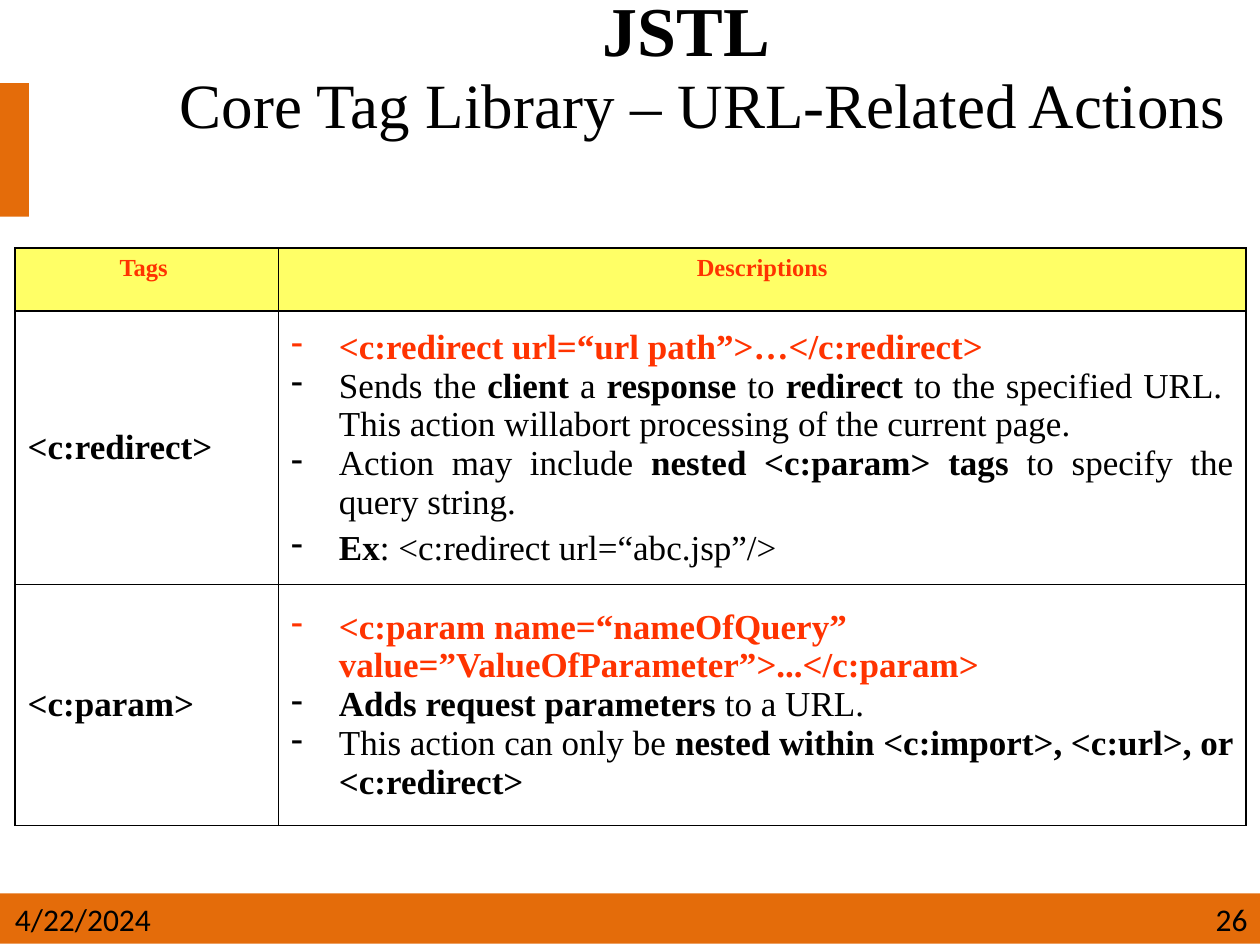
from lxml import etree
from pptx import Presentation
from pptx.dml.color import RGBColor
from pptx.enum.shapes import MSO_SHAPE
from pptx.enum.text import MSO_ANCHOR, MSO_AUTO_SIZE, PP_ALIGN
from pptx.oxml.ns import qn
from pptx.util import Inches, Pt

RECT = MSO_SHAPE.RECTANGLE
TOP, MIDDLE = MSO_ANCHOR.TOP, MSO_ANCHOR.MIDDLE
LEFT, CENTER, RIGHT, FULL = (
    PP_ALIGN.LEFT, PP_ALIGN.CENTER, PP_ALIGN.RIGHT, PP_ALIGN.JUSTIFY)
COLS, ROWS = 100, 75


class Theme:
    """Colours, fonts and type sizes."""
    ink = RGBColor(0, 0, 0)
    red = RGBColor(0xFF, 0x33, 0x00)
    yellow = RGBColor(0xFF, 0xFF, 0x66)
    orange = RGBColor(0xE4, 0x6C, 0x0A)
    serif, sans = "Times New Roman", "Calibri"
    head, gap, sub, body, foot, label = map(Pt, (40, 44, 36, 20, 18, 14))
    indent = Inches(0.38)
    border = Pt(1)


class Page:
    def __init__(self, theme):
        self.theme = theme
        self.deck = Presentation()
        self.deck.slide_width, self.deck.slide_height = Inches(10), Inches(7.5)
        self.slide = self.deck.slides.add_slide(self.deck.slide_layouts[5])
        self.shapes = self.slide.shapes

    def across(self, n):
        return round(self.deck.slide_width * n / COLS)

    def down(self, n):
        return round(self.deck.slide_height * n / ROWS)

    def place(self, left, top, width, height):
        return (self.across(left), self.down(top),
                self.across(width), self.down(height))

    def run(self, para, text, color=None, **style):
        run = para.add_run()
        run.text = text
        style = {"name": self.theme.serif, "bold": False, **style}
        for key, value in style.items():
            setattr(run.font, key, value)
        run.font.color.rgb = color or self.theme.ink

    def rich(self, para, text, **style):
        """Write text in which ** switches bold on and off."""
        for i, part in enumerate(text.split("**")):
            if part:
                self.run(para, part, bold=i % 2 == 1, **style)

    def title(self, box, head, sub):
        look = self.theme
        shape = self.shapes.title
        shape.left, shape.top, shape.width, shape.height = self.place(*box)
        frame = shape.text_frame
        format_values = {"word_wrap": True, "vertical_anchor": MIDDLE,
                         "auto_size": MSO_AUTO_SIZE.NONE}
        for key, value in format_values.items():
            setattr(frame, key, value)
        para = frame.paragraphs[0]
        para.alignment, para.line_spacing = CENTER, 0.8
        self.run(para, head, size=look.head, bold=True)
        para.add_line_break()
        self.run(para, " ", size=look.gap, bold=True)
        self.run(para, sub, size=look.sub)

    def block(self, box):
        shape = self.shapes.add_shape(RECT, *self.place(*box))
        shape.shadow.inherit = False
        shape.fill.solid()
        shape.fill.fore_color.rgb = self.theme.orange
        shape.line.fill.background()

    def note(self, box, text, align):
        frame = self.shapes.add_textbox(*self.place(*box)).text_frame
        frame.word_wrap = True
        para = frame.paragraphs[0]
        para.alignment = align
        self.run(para, text, size=self.theme.foot, name=self.theme.sans)

    def hang(self, para, mark=None):
        """Give a paragraph its hanging indent and dash."""
        props = para._p.get_or_add_pPr()
        props.set("marL", str(self.theme.indent))
        props.set("indent", str(-self.theme.indent))
        if mark:
            etree.SubElement(props, qn("a:buChar")).set("char", mark)

    def edge(self, cell):
        props = cell._tc.get_or_add_tcPr()
        for side in ("lnL", "lnR", "lnT", "lnB"):
            line = etree.SubElement(props, qn(f"a:{side}"))
            line.set("w", str(self.theme.border))
            fill = etree.SubElement(line, qn("a:solidFill"))
            etree.SubElement(fill, qn("a:srgbClr")).set("val", str(self.theme.ink))

    def cell(self, cell, lines, anchor, fill=None, mark=None):
        """Fill a cell; each line is (text, alignment, style, space before)."""
        self.edge(cell)
        if fill:
            cell.fill.solid()
            cell.fill.fore_color.rgb = fill
        else:
            cell.fill.background()
        cell.vertical_anchor = anchor
        frame = cell.text_frame
        for i, (text, align, style, before) in enumerate(lines):
            para = frame.add_paragraph() if i else frame.paragraphs[0]
            self.hang(para, mark)
            para.alignment = align
            if before:
                para.space_before = before
            self.rich(para, text, **style)

    def table(self, box, widths, heights, heads, items):
        look = self.theme
        grid = self.shapes.add_table(
            len(heights), len(widths), *self.place(*box)).table
        grid.first_row = grid.horz_banding = False
        for col, width in zip(grid.columns, widths):
            col.width = self.across(width)
        for row, height in zip(grid.rows, heights):
            row.height = self.down(height)
        label = {"size": look.label, "color": look.red}
        body = {"size": look.body}
        code = {**body, "color": look.red}
        for c, text in enumerate(heads):
            self.cell(grid.cell(0, c), [(text, CENTER, label, None)],
                      TOP, fill=look.yellow)
        for r, (tag, syntax, points) in enumerate(items, 1):
            self.cell(grid.cell(r, 0), [(tag, LEFT, body, None)], MIDDLE)
            lines = [(syntax, LEFT, code, None)]
            for text in points:
                before = look.body // 5 if text.startswith("**Ex**") else None
                lines.append((text, FULL, body, before))
            self.cell(grid.cell(r, 1), lines, MIDDLE, mark="-")


HEADS = ["**Tags **", "**Descriptions**"]
ITEMS = [
    ("**<c:redirect>**",
     "**<c:redirect url=“url path”>…</c:redirect>**",
     ["Sends the **client** a **response** to **redirect** to the specified "
      "URL.  This action willabort processing of the current page.",
      "Action may include **nested <c:param> tags** to specify the query string.",
      "**Ex**: <c:redirect url=“abc.jsp”/>"]),
    ("**<c:param>**",
     "**<c:param name=“nameOfQuery” value=”ValueOfParameter”>...</c:param>**",
     ["**Adds request parameters** to a URL.",
      "This action can only be **nested within <c:import>, <c:url>, or "
      "<c:redirect>**"]),
]


def main():
    page = Page(Theme)
    # Side accent and footer band
    page.block((0, 6.6, 2.3, 10.6))
    page.block((0, 70.9, COLS, 4))
    # Title
    page.title((10, 0, 90, 11.6), "JSTL ",
               "Core Tag Library – URL-Related Actions")
    # Tag table
    page.table((1.2, 19.7, 97.7, 45.8), (20.9, 76.8), (5, 21.7, 19.1),
               HEADS, ITEMS)
    # Date and page number
    page.note((0.2, 70.9, 15.2, 4), "4/22/2024", LEFT)
    page.note((70, 70.9, 30, 4), "26", RIGHT)
    page.deck.save("out.pptx")


if __name__ == "__main__":
    main()
